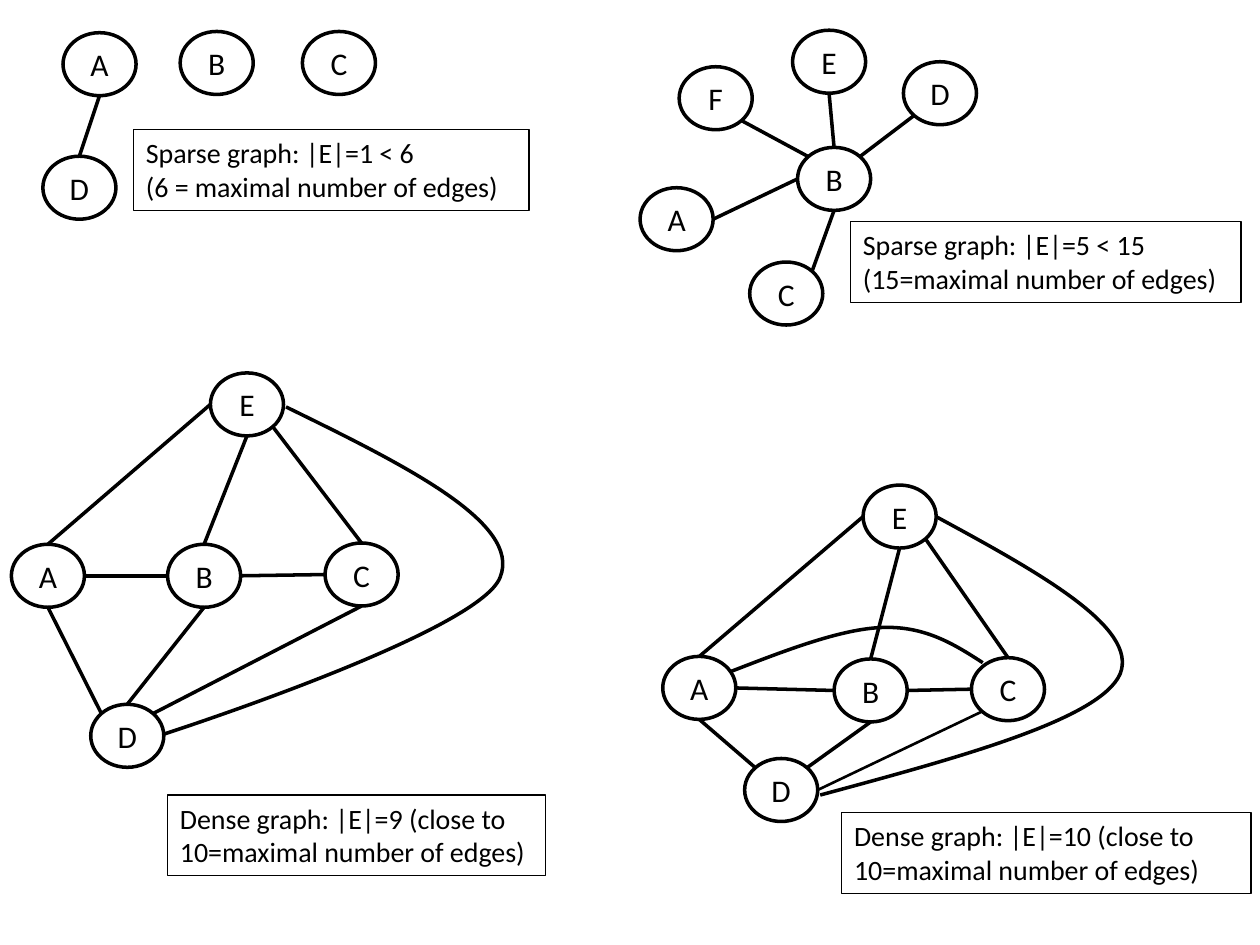
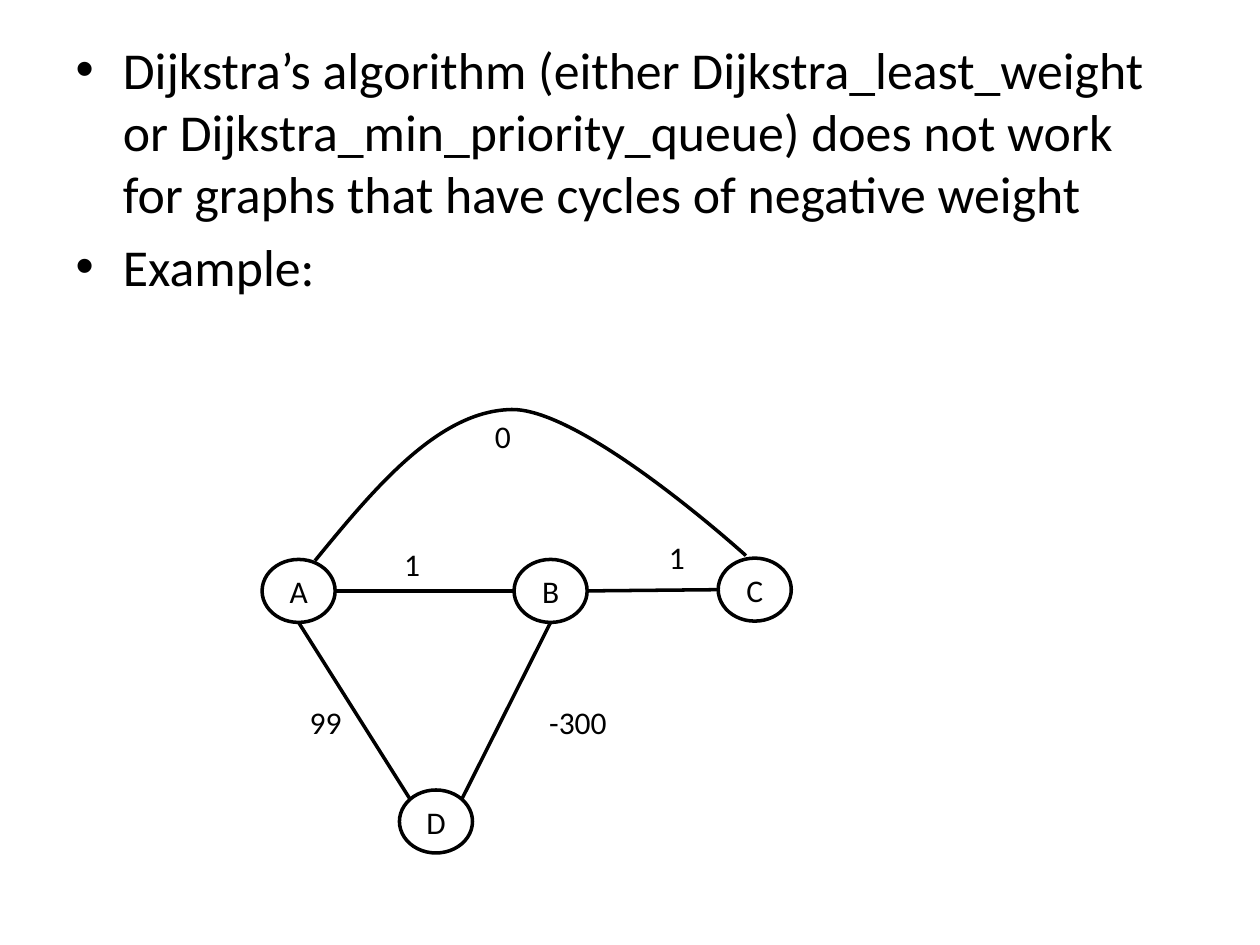
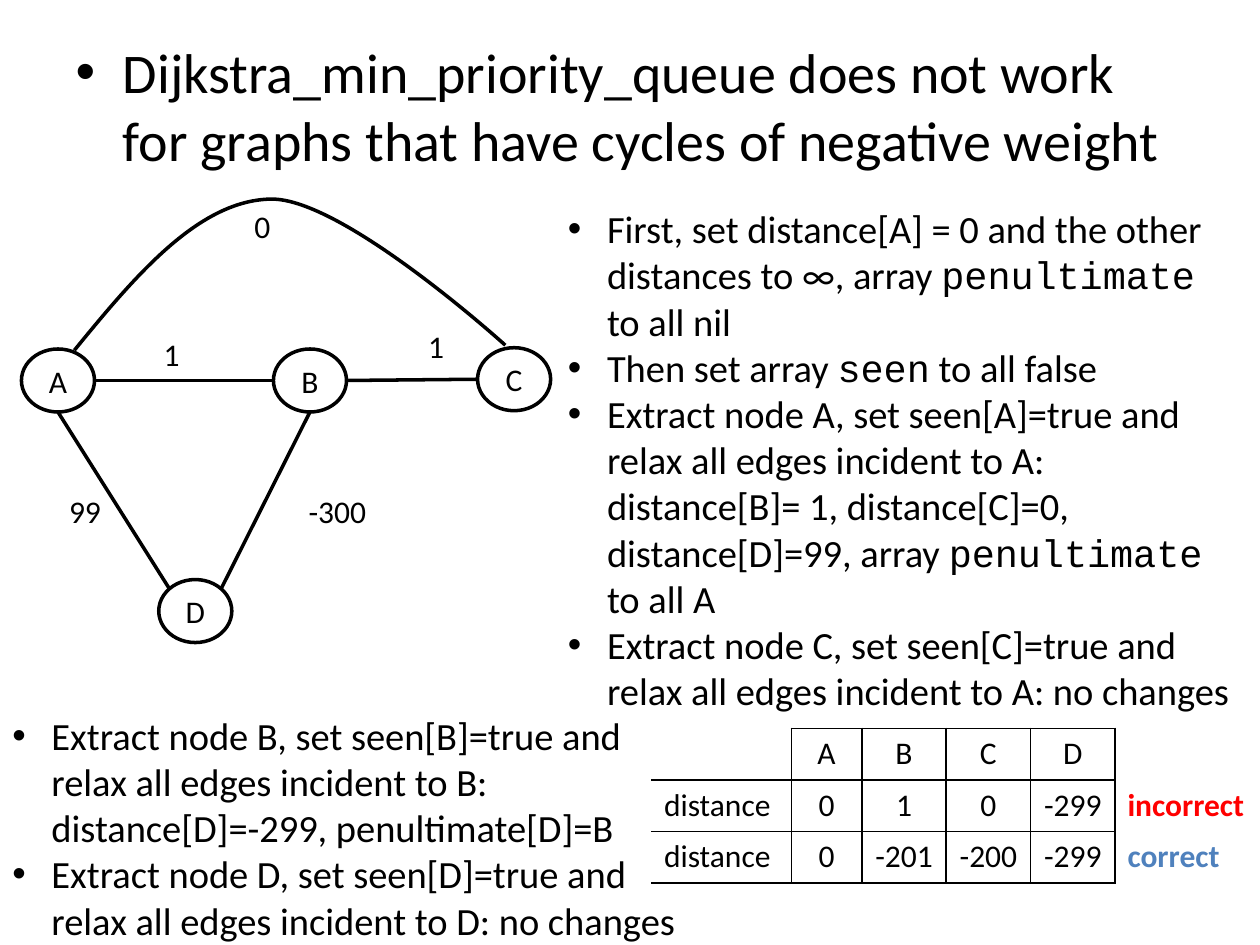
from lxml.etree import SubElement as Sub
from pptx import Presentation
from pptx.dml.color import RGBColor as Rgb
from pptx.enum.shapes import MSO_CONNECTOR as Link, MSO_SHAPE as Form
from pptx.enum.text import MSO_ANCHOR as Anchor, MSO_AUTO_SIZE as Fit, PP_ALIGN as Align
from pptx.oxml.ns import qn
from pptx.util import Emu, Pt

UNIT = 9144
WIDE, HIGH = 58, 50
INK = {"main": "000000", "bad": "FF0000", "good": "4F81BD"}
TEXT, CODE = "Calibri", "Courier New"
DIAG = 0.707
SITES = {
    "n": (0, -1), "s": (0, 1), "w": (-1, 0), "e": (1, 0),
    "nw": (-DIAG, -DIAG), "ne": (DIAG, -DIAG),
    "sw": (-DIAG, DIAG), "se": (DIAG, DIAG),
}


def px(*vals):
    return [Emu(round(val * UNIT)) for val in vals]


def write(frame, text, size=18, ink="main", bold=False, align=Align.LEFT, dent=0):
    frame.word_wrap = True
    for num, line in enumerate(text.split("\n")):
        para = frame.add_paragraph() if num else frame.paragraphs[0]
        para.alignment = align
        if dent:
            props = para._p.get_or_add_pPr()
            props.set("marL", str(dent * UNIT))
            props.set("indent", str(-dent * UNIT))
            Sub(props, qn("a:buFont"), typeface="Arial")
            Sub(props, qn("a:buChar"), char="•")
        for turn, part in enumerate(line.split("`")):
            run = para.add_run()
            run.text = part
            font = run.font
            font.name = CODE if turn % 2 else TEXT
            font.size, font.bold = Pt(size), bold
            font.color.rgb = Rgb.from_string(INK[ink])


class Deck:
    def __init__(self):
        self.show = Presentation()
        self.show.slide_width, self.show.slide_height = px(1000, 750)

    def page(self, kind):
        slide = self.show.slides.add_slide(self.show.slide_layouts[kind])
        self.slide, self.shapes = slide, slide.shapes

    def stroke(self, shape, width):
        shape.line.color.rgb = Rgb.from_string(INK["main"])
        shape.line.width = Pt(width)

    def shape(self, form, at, text, width, **style):
        item = self.shapes.add_shape(form, *px(*at))
        item.shadow.inherit = False
        item.fill.background()
        self.stroke(item, width)
        write(item.text_frame, text, **style)
        return item

    def box(self, at, text):
        item = self.shape(Form.RECTANGLE, at, text, 0.75, size=16)
        item.text_frame.vertical_anchor = Anchor.TOP

    def note(self, at, text, **style):
        write(self.shapes.add_textbox(*px(*at)).text_frame, text, **style)

    def body(self, at, text, size):
        title = self.shapes.title._element
        title.getparent().remove(title)
        hold = self.slide.placeholders[1]
        hold.left, hold.top, hold.width, hold.height = px(*at)
        hold.text_frame.auto_size = Fit.NONE
        write(hold.text_frame, text, size=size)

    def edge(self, start, end, width=2):
        line = self.shapes.add_connector(Link.STRAIGHT, *px(*start, *end))
        self.stroke(line, width)
        Sub(line._element.spPr, qn("a:effectLst"))

    def graph(self, nodes, edges, thin=""):
        for name, (x, y) in nodes.items():
            self.shape(Form.OVAL, (x, y, WIDE, HIGH), name, 2, align=Align.CENTER)

        def site(mark):
            x, y = nodes[mark[0]]
            across, down = SITES[mark[1:]]
            return x + WIDE / 2 * (1 + across), y + HIGH / 2 * (1 + down)

        for group, width in ((edges, 2), (thin, 1.5)):
            for pair in group.split():
                start, end = pair.split("-")
                self.edge(site(start), site(end), width)

    def curve(self, start, *marks):
        build = self.shapes.build_freeform(*start, scale=UNIT)
        build.add_line_segments(marks, close=False)
        item = build.convert_to_shape()
        item.shadow.inherit = False
        item.fill.background()
        self.stroke(item, 2)
        route = item._element.xpath(".//a:path")[0]
        steps = route.findall(qn("a:lnTo"))
        for num in range(0, len(steps), 3):
            bend = Sub(route, qn("a:cubicBezTo"))
            for step in steps[num:num + 3]:
                bend.append(step[0])
                route.remove(step)

    def rule(self, cell, sides):
        props = cell._tc.get_or_add_tcPr()
        for side in "LRTB":
            line = Sub(props, qn("a:ln" + side), w=str(Pt(1)))
            if side in sides:
                fill = Sub(line, qn("a:solidFill"))
                Sub(fill, qn("a:srgbClr"), val=INK["main"])
            else:
                Sub(line, qn("a:noFill"))
        cell.fill.background()

    def grid(self, x, y, cols, high, rows):
        count = len(rows)
        frame = self.shapes.add_table(count, len(cols), *px(x, y, sum(cols), high * count))
        table = frame.table
        table.first_row = table.horz_banding = False
        for col, wide in zip(table.columns, cols):
            col.width = px(wide)[0]
        last = len(cols) - 1
        for r, row in enumerate(rows):
            table.rows[r].height = px(high)[0]
            for c, text in enumerate(row):
                cell = table.cell(r, c)
                inner = 0 < c < last
                side = "LRTB" if inner else "L" if c else "RTB" if r else "RB"
                self.rule(cell, side)
                if text:
                    ink = {"incorrect": "bad", "correct": "good"}.get(text, "main")
                    write(cell.text_frame, text, ink=ink, bold=ink != "main",
                          align=Align.CENTER if inner else Align.LEFT)


def cycle(deck, dx=0, dy=0):
    def move(x, y):
        return x + dx, y + dy

    nodes = {"A": (208, 444), "D": (317, 627), "B": (408, 444), "C": (570, 443)}
    deck.graph({name: move(*at) for name, at in nodes.items()},
               "Ae-Bw Be-Cw As-Dnw Dne-Bs")
    bend = [(250, 445), (299, 385), (349, 326), (406, 325),
            (463, 324), (592, 441), (592, 441)]
    deck.curve(*(move(*at) for at in bend))
    costs = [(311, 428, "1"), (521, 422, "1"), (236, 553, "99"),
             (383, 326, "0"), (426, 553, "-300")]
    for x, y, text in costs:
        deck.note((*move(x, y), 95 if len(text) > 2 else 57, 40), text)


def density(deck):
    deck.page(6)
    deck.graph({"A": (50, 26), "D": (34, 124), "B": (143, 25), "C": (240, 25)}, "As-Dn")
    deck.graph({"A": (508, 149), "C": (595, 208), "B": (633, 117),
                "D": (717, 49), "E": (629, 24), "F": (539, 53)},
               "Ae-Bw Bne-Dsw Cne-Bs Es-Bn Fse-Bnw")
    core = "Ae-Bw Be-Cw As-Dnw An-Ew Es-Bn Ese-Cn "
    deck.graph({"A": (9, 432), "D": (72, 559), "B": (133, 432),
                "C": (258, 431), "E": (167, 296)}, core + "Dn-Bs Cs-Dne")
    deck.curve((227, 323), (321, 369), (414, 415), (397, 458),
               (381, 502), (129, 583), (129, 583))
    deck.graph({"A": (526, 521), "D": (591, 602), "B": (662, 523),
                "C": (771, 522), "E": (685, 385)}, core + "Dne-Bs", thin="Csw-De")
    deck.curve((580, 533), (624, 516), (668, 499), (701, 498),
               (734, 497), (757, 511), (780, 526))
    deck.curve((743, 410), (824, 454), (904, 498), (889, 535),
               (873, 571), (762, 601), (651, 631))
    deck.box((106, 103, 314, 64), "Sparse graph: |E|=1 < 6\n(6 = maximal number of edges)")
    deck.box((675, 176, 310, 64), "Sparse graph: |E|=5 < 15 (15=maximal number of edges)")
    deck.box((133, 631, 300, 64), "Dense graph: |E|=9 (close to 10=maximal number of edges)")
    deck.box((668, 645, 325, 64), "Dense graph: |E|=10 (close to 10=maximal number of edges)")


def problem(deck):
    deck.page(1)
    cycle(deck)
    deck.body((50, 25, 900, 259),
              "Dijkstra’s algorithm (either Dijkstra_least_weight or "
              "Dijkstra_min_priority_queue) does not work for graphs that have "
              "cycles of negative weight\nExample:", 29.6)


def trace(deck):
    deck.page(1)
    cycle(deck, -191, -167)
    deck.note((441, 158, 550, 417),
              "First, set distance[A] = 0 and the other distances to ∞, "
              "array `penultimate` to all nil\n"
              "Then set array `seen` to all false\n"
              "Extract node A, set seen[A]=true and relax all edges incident to A: "
              "distance[B]= 1, distance[C]=0, distance[D]=99, "
              "array `penultimate` to all A\n"
              "Extract node C, set seen[C]=true and relax all edges incident to A: "
              "no changes", size=22, dent=31)
    deck.body((50, 25, 900, 116),
              "Dijkstra_min_priority_queue does not work for graphs that have "
              "cycles of negative weight", 32)
    deck.note((0, 560, 558, 195),
              "Extract node B, set seen[B]=true and relax all edges incident to B: "
              "distance[D]=-299, penultimate[D]=B\n"
              "Extract node D, set seen[D]=true and relax all edges incident to D: "
              "no changes", size=22, dent=31)
    deck.grid(517, 578, [111, 56, 67, 67, 67, 125], 41, [
        ["", "A", "B", "C", "D", ""],
        ["distance", "0", "1", "0", "-299", "incorrect"],
        ["distance", "0", "-201", "-200", "-299", "correct"],
    ])


def main():
    deck = Deck()
    for draw in (density, problem, trace):
        draw(deck)
    deck.show.save("out.pptx")


if __name__ == "__main__":
    main()
